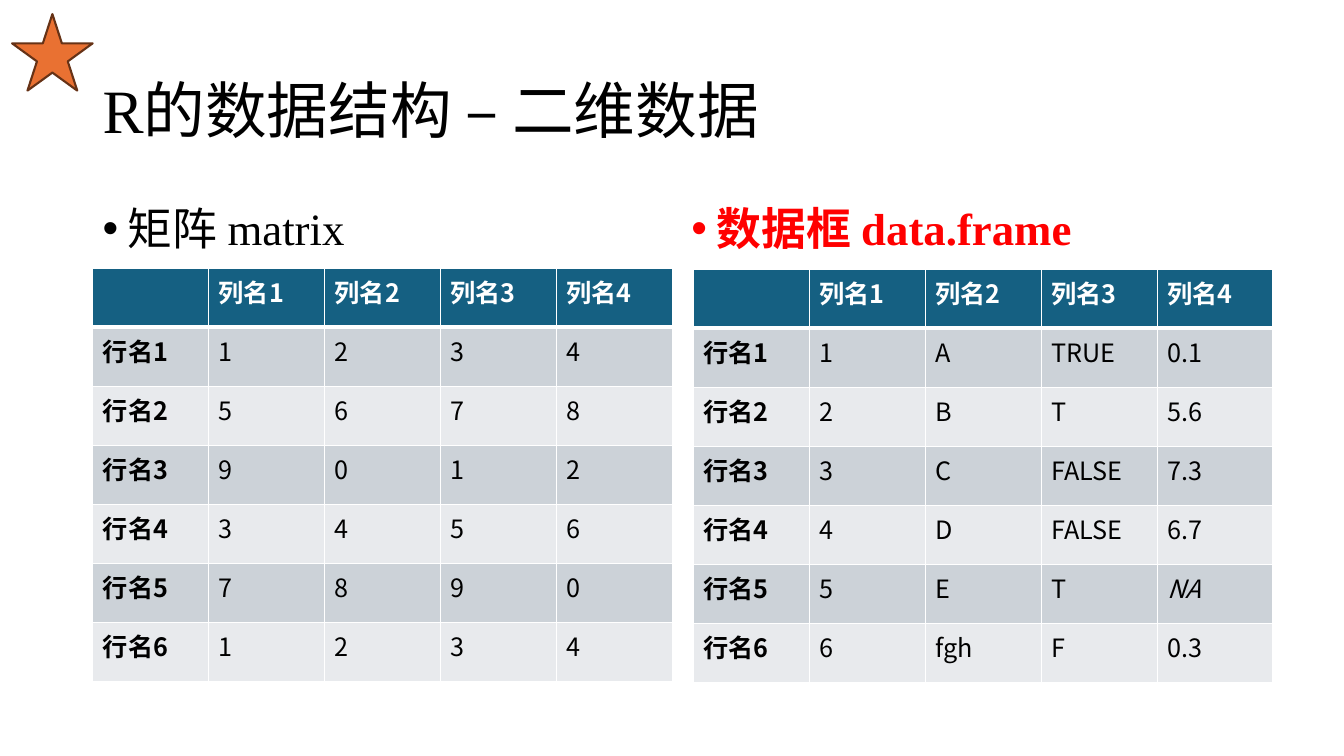
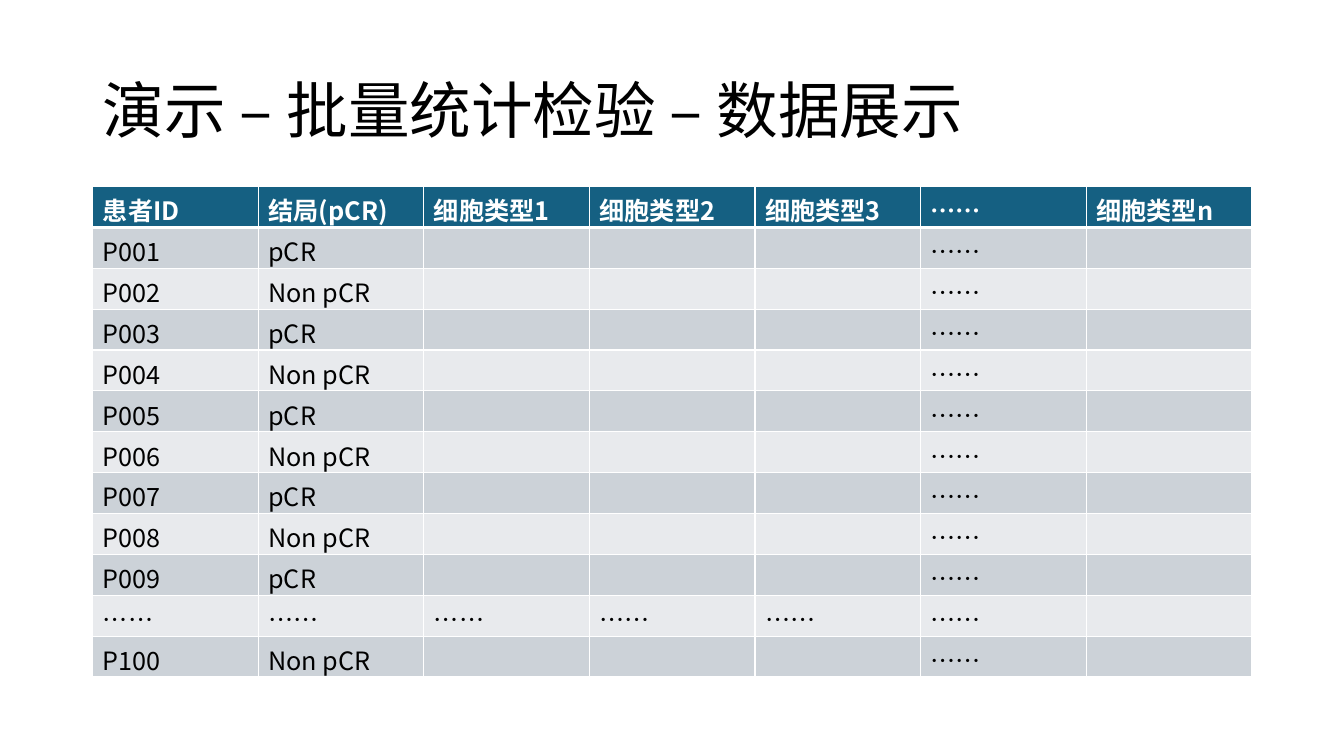
from lxml import etree
from pptx import Presentation
from pptx.dml.color import RGBColor
from pptx.enum import shapes, text
from pptx.oxml import ns
from pptx.util import Pt

BLACK = RGBColor(0x00, 0x00, 0x00)
WHITE = RGBColor(0xFF, 0xFF, 0xFF)
RED = RGBColor(0xFF, 0x00, 0x00)
ORANGE = RGBColor(0xE9, 0x71, 0x32)
BROWN = RGBColor(0x66, 0x32, 0x16)
HEADER_BLUE = RGBColor(0x15, 0x60, 0x82)
BANDS = (RGBColor(0xCC, 0xD2, 0xD8), RGBColor(0xE8, 0xEA, 0xED))

SERIF = "Times New Roman"
SANS = "Noto Sans CJK SC"

LEFT = 66.24
CONTENT_WIDTH = 828
HALF_WIDTH = CONTENT_WIDTH / 2
DOTS = "……"

STRUCTURE_TITLE = "R的数据结构 – 二维数据"
COLUMN_NAMES = ["", "列名1", "列名2", "列名3", "列名4"]
MATRIX_VALUES = [
    ["1", "2", "3", "4"],
    ["5", "6", "7", "8"],
    ["9", "0", "1", "2"],
    ["3", "4", "5", "6"],
    ["7", "8", "9", "0"],
    ["1", "2", "3", "4"],
]
FRAME_VALUES = [
    ["1", "A", "TRUE", "0.1"],
    ["2", "B", "T", "5.6"],
    ["3", "C", "FALSE", "7.3"],
    ["4", "D", "FALSE", "6.7"],
    ["5", "E", "T", "NA"],
    ["6", "fgh", "F", "0.3"],
]
# heading, colour, bold, heading left, table left, table top, values
STRUCTURES = [
    ("矩阵 matrix", BLACK, False, LEFT, LEFT, 191.52, MATRIX_VALUES),
    ("数据框 data.frame", RED, True, 486.72, 495.36, 192.24, FRAME_VALUES),
]

PATIENT_TITLE = "演示 – 批量统计检验 – 数据展示"
PATIENT_HEADER = ["患者ID", "结局(pCR)", "细胞类型1", "细胞类型2", "细胞类型3",
                  DOTS, "细胞类型n"]
PATIENTS = [(f"P{number:03}", "pCR" if number % 2 else "Non pCR")
            for number in (*range(1, 10), 100)]


def add_span(para, words, size, font, color, bold=False, italic=False):
    span = para.add_run()
    span.text = words
    span.font.size = Pt(size)
    span.font.name = font
    span.font.color.rgb = color
    span.font.bold = bold
    span.font.italic = italic
    east_asian = etree.SubElement(span.font._element, ns.qn("a:ea"))
    east_asian.set("typeface", SANS)


def add_text_box(page, left, top, width, height, anchor):
    box = page.shapes.add_textbox(Pt(left), Pt(top), Pt(width), Pt(height))
    box.text_frame.word_wrap = True
    box.text_frame.vertical_anchor = anchor
    para = box.text_frame.paragraphs[0]
    para.line_spacing = 0.9
    return para


def add_titled_page(deck, title):
    page = deck.slides.add_slide(deck.slide_layouts[6])
    para = add_text_box(page, LEFT, 28.8, CONTENT_WIDTH, 104.4,
                        text.MSO_ANCHOR.MIDDLE)
    add_span(para, title, 44, SERIF, BLACK)
    return page


def add_bullet(page, left, words, color, bold):
    para = add_text_box(page, left, 144, HALF_WIDTH, 342.72,
                        text.MSO_ANCHOR.TOP)
    para.space_before = Pt(10)
    properties = para._p.get_or_add_pPr()
    properties.set("marL", str(Pt(18)))
    properties.set("indent", str(Pt(-18)))
    etree.SubElement(properties, ns.qn("a:buFont")).set("typeface", "Arial")
    etree.SubElement(properties, ns.qn("a:buChar")).set("char", "•")
    add_span(para, words, 32, SERIF, color, bold)


def set_borders(cell, top, bottom):
    """Draw white cell borders, 1 pt at the sides."""
    properties = cell._tc.get_or_add_tcPr()
    widths = {"lnL": 1, "lnR": 1, "lnT": top, "lnB": bottom}
    for position, (side, width) in enumerate(widths.items()):
        line = etree.Element(ns.qn(f"a:{side}"), w=str(Pt(width)))
        fill = etree.SubElement(line, ns.qn("a:solidFill"))
        etree.SubElement(fill, ns.qn("a:srgbClr")).set("val", str(WHITE))
        properties.insert(position, line)


def add_grid(page, left, top, width, row_height, rows, bold_names=False):
    """Add a banded table whose first row is the header."""
    columns = len(rows[0])
    frame = page.shapes.add_table(len(rows), columns, Pt(left), Pt(top),
                                  Pt(width), Pt(row_height * len(rows)))
    table = frame.table
    for column in table.columns:
        column.width = Pt(width / columns)
    for r, row in enumerate(rows):
        table.rows[r].height = Pt(row_height)
        header = r == 0
        for c, words in enumerate(row):
            cell = table.cell(r, c)
            cell.fill.solid()
            cell.fill.fore_color.rgb = HEADER_BLUE if header else BANDS[(r - 1) % 2]
            set_borders(cell, 3 if r == 1 else 1, 3 if header else 1)
            para = cell.text_frame.paragraphs[0]
            if words:
                add_span(para, words, 18, SANS, WHITE if header else BLACK,
                         bold=header or (bold_names and c == 0),
                         italic=words == "NA")
            else:
                para.font.size = Pt(18)


def add_star(page):
    star = page.shapes.add_shape(shapes.MSO_SHAPE.STAR_5_POINT, Pt(8.64),
                                 Pt(10.08), Pt(57.6), Pt(54.72))
    star.shadow.inherit = False
    star.fill.solid()
    star.fill.fore_color.rgb = ORANGE
    star.line.color.rgb = BROWN
    star.line.width = Pt(1.5)


def build_structure_page(deck):
    page = add_titled_page(deck, STRUCTURE_TITLE)
    add_star(page)
    for words, color, bold, bullet_left, table_left, top, values in STRUCTURES:
        add_bullet(page, bullet_left, words, color, bold)
        rows = [COLUMN_NAMES] + [[f"行名{number}", *row]
                                 for number, row in enumerate(values, 1)]
        add_grid(page, table_left, top, HALF_WIDTH, 42.2, rows, bold_names=True)


def build_patient_page(deck):
    page = add_titled_page(deck, PATIENT_TITLE)
    rows = [[*patient, "", "", "", DOTS, ""] for patient in PATIENTS]
    rows.insert(-1, [DOTS] * 6 + [""])
    add_grid(page, LEFT, 133.2, CONTENT_WIDTH, 29.2, [PATIENT_HEADER] + rows)


def main():
    deck = Presentation()
    deck.slide_width, deck.slide_height = Pt(960), Pt(540)
    build_structure_page(deck)
    build_patient_page(deck)
    deck.save("out.pptx")


if __name__ == "__main__":
    main()
